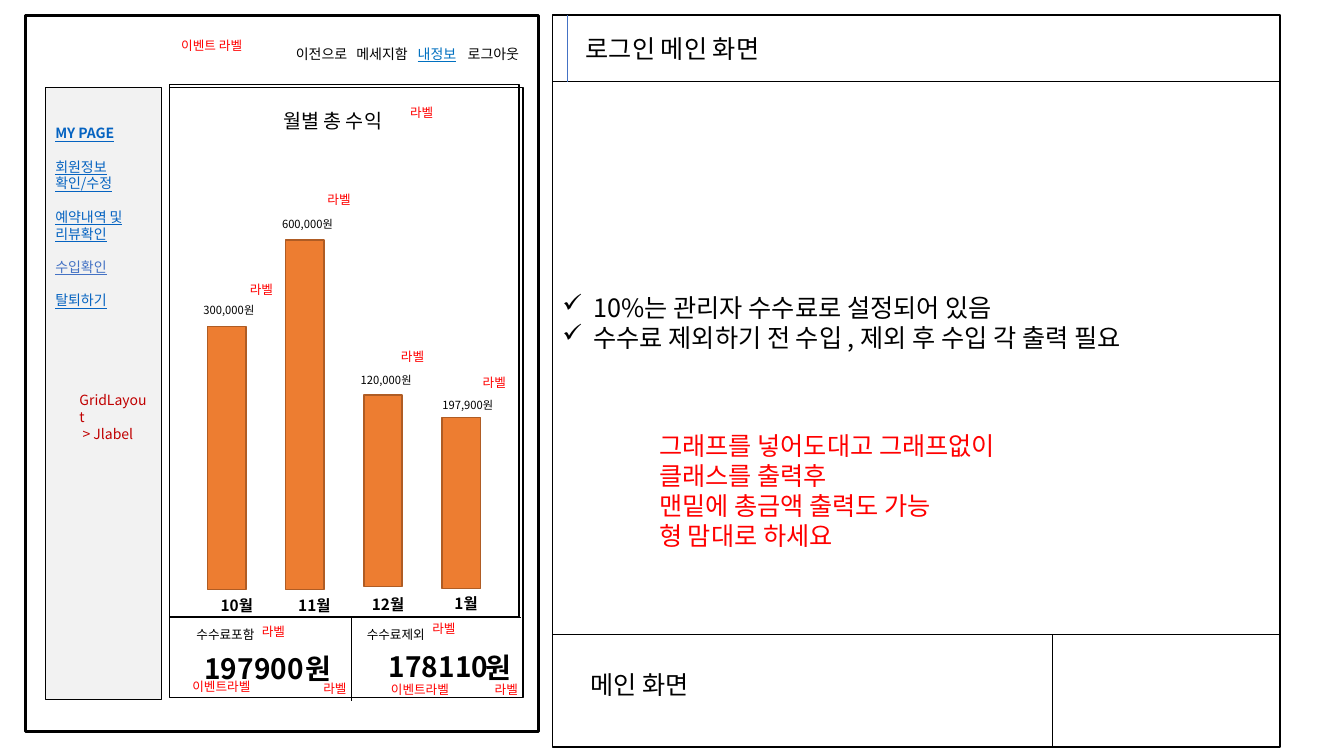
from dataclasses import dataclass

from lxml.etree import SubElement
from pptx import Presentation
from pptx.dml.color import RGBColor
from pptx.enum.shapes import MSO_CONNECTOR, MSO_SHAPE
from pptx.enum.text import MSO_ANCHOR, MSO_AUTO_SIZE, PP_ALIGN
from pptx.oxml.ns import qn
from pptx.util import Inches, Pt

CELL = Inches(0.1)
COLUMNS, ROWS = 133.33, 75
FONT = "Noto Sans CJK KR"
LINE_HEIGHT = 1.19

BLACK = RGBColor(0x00, 0x00, 0x00)
WHITE = RGBColor(0xFF, 0xFF, 0xFF)
RED = RGBColor(0xFF, 0x00, 0x00)
DARK_RED = RGBColor(0xC0, 0x00, 0x00)
ORANGE = RGBColor(0xED, 0x7D, 0x31)
BROWN = RGBColor(0xAF, 0x5C, 0x24)
PALE_GREY = RGBColor(0xF2, 0xF2, 0xF2)
LINK_BLUE = RGBColor(0x05, 0x63, 0xC1)
SOFT_BLUE = RGBColor(0x44, 0x72, 0xC4)
MENU_BLUE = RGBColor(0x00, 0x70, 0xC0)


@dataclass(frozen=True)
class Area:
    column: float
    row: float
    columns: float
    rows: float

    def lengths(self) -> list[int]:
        return [grid(n) for n in (self.column, self.row, self.columns, self.rows)]


@dataclass(frozen=True)
class Style:
    size: float
    color: RGBColor = BLACK
    bold: bool = False
    underline: bool = False
    align: PP_ALIGN = PP_ALIGN.LEFT


@dataclass(frozen=True)
class Caption:
    text: str
    area: Area
    style: Style
    anchor: MSO_ANCHOR = MSO_ANCHOR.TOP


@dataclass(frozen=True)
class Month:
    name: str
    name_at: tuple[float, float]
    income: str
    income_at: tuple[float, float]
    label_at: tuple[float, float]
    bar_top: float
    bar_rows: float


@dataclass(frozen=True)
class SideLink:
    text: str
    style: Style
    gap: float = 0


BODY = Style(18)
NOTE = Style(18, RED)
LABEL = Style(9, RED)
FEE = Style(9)
TOTAL = Style(20, bold=True)
INCOME = Style(8)
MONTH_NAME = Style(11, bold=True)
MENU = Style(10, align=PP_ALIGN.CENTER)
MENU_ACTIVE = Style(10, MENU_BLUE, underline=True, align=PP_ALIGN.CENTER)
LINK = Style(10, LINK_BLUE, underline=True)
LINK_HEAD = Style(10, LINK_BLUE, True, True)
LINK_CURRENT = Style(10, SOFT_BLUE, underline=True)

DESCRIPTION = Area(54.8, 1.5, 72.2, 72.6)
BAR_COLUMN, BAR_STEP, BAR_WIDTH = 20.6, 7.75, 3.8

RULES = ["10%는 관리자 수수료로 설정되어 있음", "수수료 제외하기 전 수입 , 제외 후 수입 각 출력 필요"]
MONTHS = [
    Month("10월", (20.9, 58.7), "300,000원", (19.2, 29.6), (23.8, 27.5), 32.4, 26.1),
    Month("11월", (28.6, 58.7), "600,000원", (27, 21.1), (31.5, 18.6), 23.8, 34.7),
    Month("12월", (35.9, 58.6), "120,000원", (34.8, 36.6), (38.8, 34.1), 39.2, 19),
    Month("1월", (44.1, 58.5), "197,900원", (42.9, 39), (46.9, 36.7), 41.4, 17),
]
SIDE_LINKS = [
    SideLink("MY PAGE", LINK_HEAD),
    SideLink("회원정보", LINK, 12),
    SideLink("확인/수정", LINK),
    SideLink("예약내역 및", LINK, 12),
    SideLink("리뷰확인", LINK),
    SideLink("수입확인", LINK_CURRENT, 12),
    SideLink("탈퇴하기", LINK, 12),
]
SUMMARY = [
    Caption("수수료포함", Area(18.5, 61.7, 15.9, 2.5), FEE),
    Caption("수수료제외", Area(35.4, 61.7, 15.9, 2.5), FEE),
    Caption("197900", Area(19.3, 64.2, 14.5, 4.4), TOTAL),
    Caption("178110", Area(37.6, 64, 14.5, 4.4), TOTAL),
    Caption("원", Area(29.3, 64.2, 14.5, 4.4), TOTAL),
    Caption("원", Area(47.2, 64.1, 14.5, 4.4), TOTAL),
]
LABELS = [
    ("라벨", 39.7, 9.9), ("라벨", 25, 61.4), ("라벨", 31.1, 67.1),
    ("라벨", 41.9, 61.1), ("라벨", 48.1, 67.2), ("이벤트라벨", 37.8, 67.2),
    ("이벤트라벨", 18.1, 66.9), ("이벤트 라벨", 17, 3.3),
] + [("라벨", *month.label_at) for month in MONTHS]
MENU_ITEMS = [
    ("내정보", 39.8, 7.1, MENU_ACTIVE), ("로그아웃", 44.8, 8.3, MENU),
    ("이전으로", 27.9, 8, MENU), ("메세지함", 33.9, 8, MENU),
]


def grid(cells: float) -> int:
    return round(cells * CELL)


def format_paragraph(paragraph, style: Style, gap: float = 0) -> None:
    paragraph.alignment = style.align
    paragraph.line_spacing = Pt(round(style.size * LINE_HEIGHT, 1))
    paragraph.space_before = Pt(gap)
    font = paragraph.font
    font.size, font.bold, font.underline = Pt(style.size), style.bold, style.underline
    font.color.rgb = style.color
    font.name = FONT
    SubElement(font._rPr, qn("a:ea"), typeface=FONT)


def add_bullet(paragraph, mark: str) -> None:
    properties = paragraph._p.get_or_add_pPr()
    properties.set("marL", str(grid(3.1)))
    properties.set("indent", str(-grid(3.1)))
    SubElement(properties, qn("a:buChar"), char=mark)


def draw_box(slide, area: Area, fill: RGBColor | None, line: RGBColor = BLACK, width: float = 1):
    box = slide.shapes.add_shape(MSO_SHAPE.RECTANGLE, *area.lengths())
    box.shadow.inherit = False
    if fill is None:
        box.fill.background()
    else:
        box.fill.solid()
        box.fill.fore_color.rgb = fill
    box.line.color.rgb = line
    box.line.width = Pt(width)
    return box


def draw_rule(slide, start: tuple[float, float], end: tuple[float, float], color: RGBColor = BLACK) -> None:
    rule = slide.shapes.add_connector(MSO_CONNECTOR.STRAIGHT, *map(grid, start + end))
    rule.line.color.rgb = color
    rule.line.width = Pt(0.5)
    SubElement(rule._element.spPr, qn("a:effectLst"))


def write(frame, lines: list[SideLink], top: float = 0.5, bullet: str = "") -> None:
    frame.word_wrap = True
    frame.auto_size = MSO_AUTO_SIZE.NONE
    frame.vertical_anchor = MSO_ANCHOR.TOP
    frame.margin_left = frame.margin_right = grid(1)
    frame.margin_top, frame.margin_bottom = grid(top), grid(0.5)
    for number, line in enumerate(lines):
        paragraph = frame.add_paragraph() if number else frame.paragraphs[0]
        paragraph.text = line.text
        if bullet:
            add_bullet(paragraph, bullet)
        format_paragraph(paragraph, line.style, line.gap)


def draw_caption(slide, caption: Caption) -> None:
    frame = slide.shapes.add_textbox(*caption.area.lengths()).text_frame
    write(frame, [SideLink(text, caption.style) for text in caption.text.split("\n")])
    frame.vertical_anchor = caption.anchor


def draw_description(slide) -> None:
    panel = draw_box(slide, DESCRIPTION, WHITE)
    write(panel.text_frame, [SideLink(rule, BODY) for rule in RULES], 27.5, "✓")
    left, right = DESCRIPTION.column, DESCRIPTION.column + DESCRIPTION.columns
    draw_rule(slide, (left, 8.1), (right, 8.1))
    draw_rule(slide, (56.3, DESCRIPTION.row), (56.3, 8.1), SOFT_BLUE)
    draw_rule(slide, (left, 62.9), (right, 62.9))
    draw_rule(slide, (104.4, 62.9), (104.4, DESCRIPTION.row + DESCRIPTION.rows))
    title = slide.shapes.title
    title.left, title.top, title.width, title.height = Area(57.1, 2.8, 24.2, 4).lengths()
    write(title.text_frame, [SideLink("로그인 메인 화면", BODY)])
    slide.shapes._spTree.append(title._element)
    draw_caption(slide, Caption("메인 화면", Area(57.6, 65.9, 43.7, 4), BODY))
    note = "그래프를 넣어도대고 그래프없이\n클래스를 출력후\n맨밑에 총금액 출력도 가능\n형 맘대로 하세요"
    draw_caption(slide, Caption(note, Area(64.4, 42.2, 50.9, 13.1), NOTE))


def draw_income(slide) -> None:
    draw_rule(slide, (18, 61.2), (51.7, 61.2))
    draw_rule(slide, (34.9, 61.2), (34.9, 69.5))
    draw_box(slide, Area(16.8, 8.4, 34.7, 52.8), WHITE)
    draw_caption(slide, Caption("월별 총 수익", Area(27.1, 10.3, 27, 6.3), Style(14)))
    for number, month in enumerate(MONTHS):
        column = BAR_COLUMN + number * BAR_STEP
        draw_box(slide, Area(column, month.bar_top, BAR_WIDTH, month.bar_rows), ORANGE, BROWN)
        draw_caption(slide, Caption(month.income, Area(*month.income_at, 14, 2.4), INCOME))
        draw_caption(slide, Caption(month.name, Area(*month.name_at, 5.8, 2.9), MONTH_NAME))
    for caption in SUMMARY:
        draw_caption(slide, caption)
    for text, column, row in LABELS:
        draw_caption(slide, Caption(text, Area(column, row, 10.7, 2.5), LABEL))


def draw_navigation(slide) -> None:
    sidebar = draw_box(slide, Area(4.5, 8.7, 11.5, 60.7), PALE_GREY)
    write(sidebar.text_frame, SIDE_LINKS, 3.7)
    draw_caption(slide, Caption("GridLayout\n > Jlabel", Area(6.9, 38.4, 8.9, 4.4), Style(10, DARK_RED)))
    draw_box(slide, Area(16.8, 8.7, 35.1, 60.5), None)
    for text, column, columns, style in MENU_ITEMS:
        draw_caption(slide, Caption(text, Area(column, 3.4, columns, 3.9), style, MSO_ANCHOR.MIDDLE))


def main() -> None:
    deck = Presentation()
    deck.slide_width, deck.slide_height = grid(COLUMNS), grid(ROWS)
    slide = deck.slides.add_slide(deck.slide_layouts[5])
    draw_description(slide)
    draw_box(slide, Area(2.5, 1.5, 50.9, 71.1), None, width=2.25)
    draw_income(slide)
    draw_navigation(slide)
    deck.save("out.pptx")


if __name__ == "__main__":
    main()
